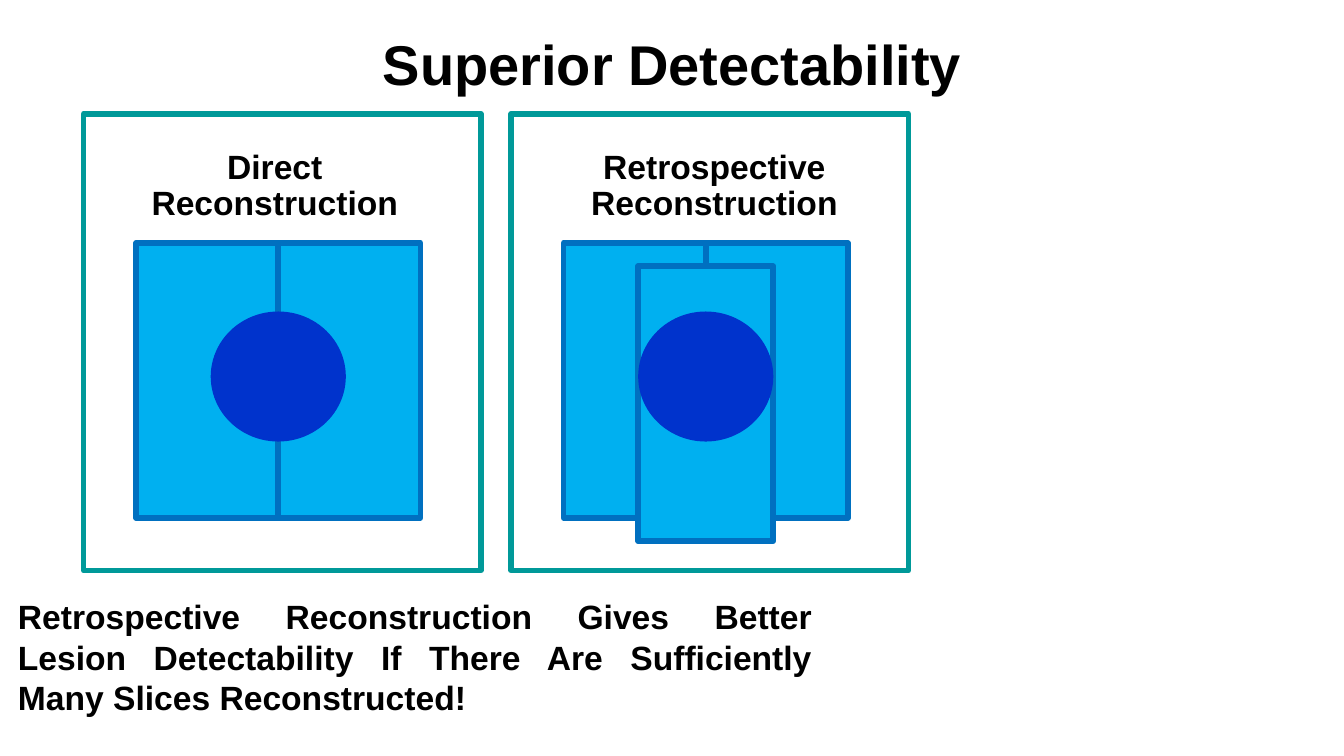
from lxml import etree
from pptx import Presentation
from pptx.dml.color import RGBColor
from pptx.enum.shapes import MSO_SHAPE
from pptx.enum.text import MSO_ANCHOR, MSO_AUTO_SIZE, PP_ALIGN
from pptx.oxml.ns import qn
from pptx.util import Inches, Pt

COLORS = {
    "text": "000000",
    "shadow": "C0C0C0",
    "panel": "FFFFFF",
    "panel_line": "009999",
    "slice": "00B0F0",
    "slice_line": "0070C0",
    "lesion": "0033CC",
}
PANEL_TOP, PANEL_WIDTH, PANEL_HEIGHT = 1.13, 3.94, 4.53
SLICE_WIDTH, SLICE_HEIGHT = 1.41, 2.73
LESION_WIDTH, LESION_HEIGHT = 1.34, 1.29


def color(name):
    return RGBColor.from_string(COLORS[name])


def add_text_shadow(span):
    properties = span.font.fill._xPr
    effects = etree.Element(qn("a:effectLst"))
    shadow = etree.SubElement(effects, qn("a:outerShdw"), blurRad="38100",
                              dist="38100", dir="2700000", algn="tl")
    etree.SubElement(shadow, qn("a:srgbClr"), val=COLORS["shadow"])
    properties.find(qn("a:solidFill")).addnext(effects)


def format_text(frame, size, align, shadow=False):
    for para in frame.paragraphs:
        para.alignment = align
        for span in para.runs:
            span.font.size = Pt(size)
            span.font.bold = True
            span.font.name = "Arial"
            span.font.color.rgb = color("text")
            if shadow:
                add_text_shadow(span)


def add_figure(page, kind, left, top, width, height, fill, line=None):
    figure = page.shapes.add_shape(kind, Inches(left), Inches(top),
                                   Inches(width), Inches(height))
    figure.shadow.inherit = False
    figure.fill.solid()
    figure.fill.fore_color.rgb = color(fill)
    if line:
        figure.line.color.rgb = color(line)
        figure.line.width = Pt(4)
    else:
        figure.line.fill.background()


def add_title(page, left, top, width, height):
    title = page.shapes.title
    title.left, title.top = Inches(left), Inches(top)
    title.width, title.height = Inches(width), Inches(height)
    frame = title.text_frame
    frame.text = "Superior Detectability"
    frame.vertical_anchor = MSO_ANCHOR.MIDDLE
    format_text(frame, 40, PP_ALIGN.CENTER, shadow=True)


def add_label(page, left, top, width, height, text):
    box = page.shapes.add_textbox(Inches(left), Inches(top),
                                  Inches(width), Inches(height))
    frame = box.text_frame
    frame.text = text
    frame.word_wrap = False
    frame.auto_size = MSO_AUTO_SIZE.SHAPE_TO_FIT_TEXT
    format_text(frame, 24, PP_ALIGN.CENTER)
    for para in frame.paragraphs:
        para.line_spacing = 0.9


def add_panel(page, left, label, label_offset, overlapping):
    """Draw a framed lesion over two slices, plus an overlapping one if asked."""
    add_figure(page, MSO_SHAPE.RECTANGLE, left, PANEL_TOP,
               PANEL_WIDTH, PANEL_HEIGHT, "panel", "panel_line")
    slice_left, slice_top = left + 0.52, PANEL_TOP + 1.28
    for index in range(2):
        add_figure(page, MSO_SHAPE.RECTANGLE, slice_left + index * SLICE_WIDTH,
                   slice_top, SLICE_WIDTH, SLICE_HEIGHT, "slice", "slice_line")
    lesion_left = slice_left + SLICE_WIDTH - LESION_WIDTH / 2
    if overlapping:
        add_figure(page, MSO_SHAPE.RECTANGLE, lesion_left, slice_top + 0.23,
                   LESION_WIDTH, SLICE_HEIGHT, "slice", "slice_line")
    add_figure(page, MSO_SHAPE.OVAL, lesion_left, slice_top + 0.68,
               LESION_WIDTH, LESION_HEIGHT, "lesion")
    add_label(page, left + label_offset, PANEL_TOP + 0.31, 2.67, 0.83, label)


def add_conclusion(page, left, top, width, height):
    box = page.shapes.add_textbox(Inches(left), Inches(top),
                                  Inches(width), Inches(height))
    frame = box.text_frame
    frame.text = ("Retrospective Reconstruction Gives Better Lesion Detectability "
                  "If There Are Sufficiently Many Slices Reconstructed!")
    frame.word_wrap = True
    frame.vertical_anchor = MSO_ANCHOR.MIDDLE
    format_text(frame, 24, PP_ALIGN.JUSTIFY, shadow=True)


def main():
    deck = Presentation()
    deck.slide_width, deck.slide_height = Inches(13.33), Inches(7.5)
    page = deck.slides.add_slide(deck.slide_layouts[5])
    add_title(page, 0.22, 0.17, 12.89, 0.92)
    add_panel(page, 0.83, "Direct\nReconstruction", 0.56, overlapping=False)
    add_panel(page, 5.07, "Retrospective\nReconstruction", 0.68, overlapping=True)
    add_conclusion(page, 0.08, 5.57, 8.07, 1.89)
    deck.save("out.pptx")


if __name__ == "__main__":
    main()
